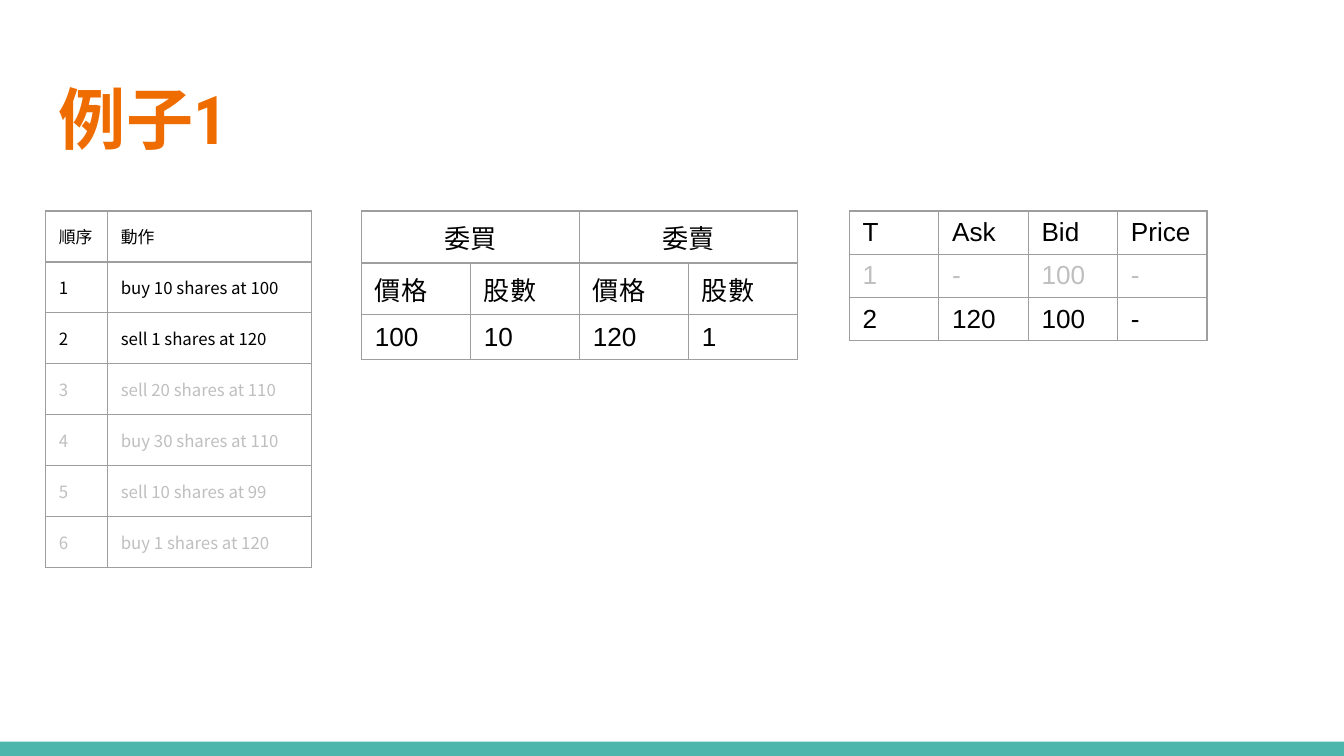
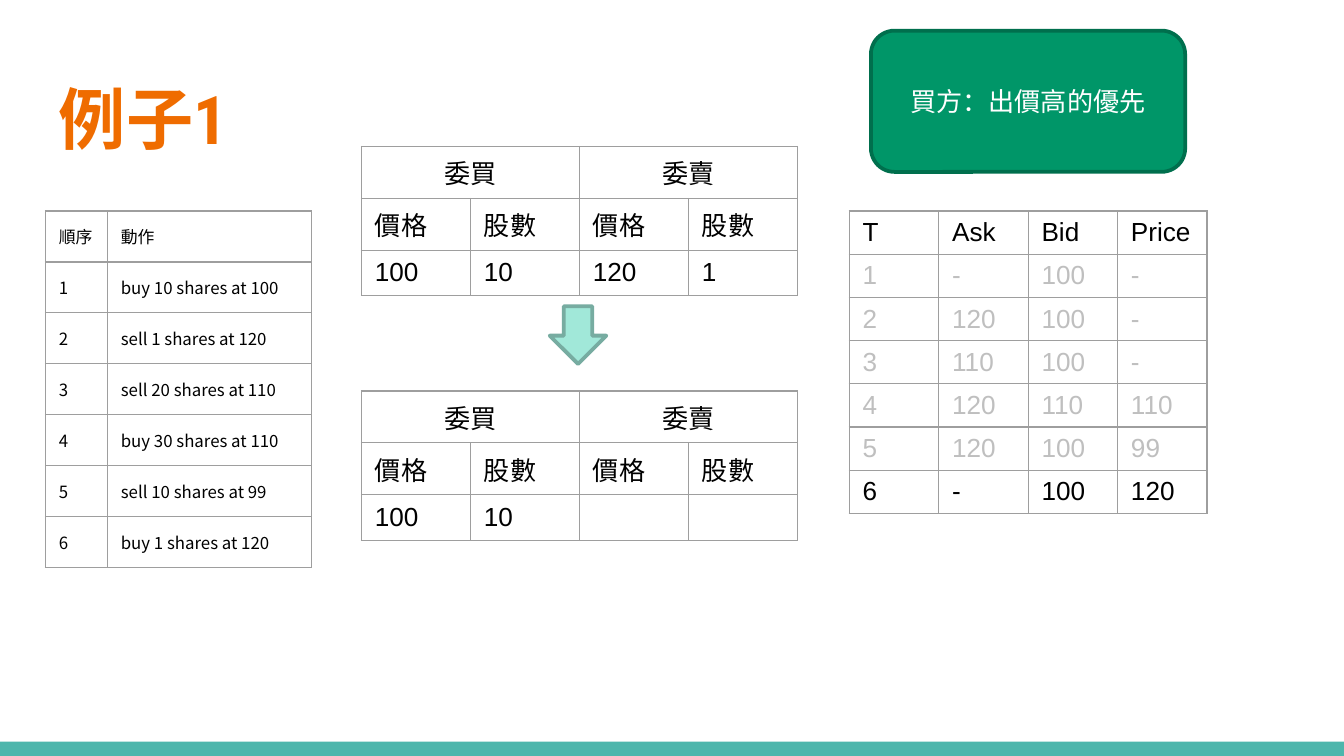
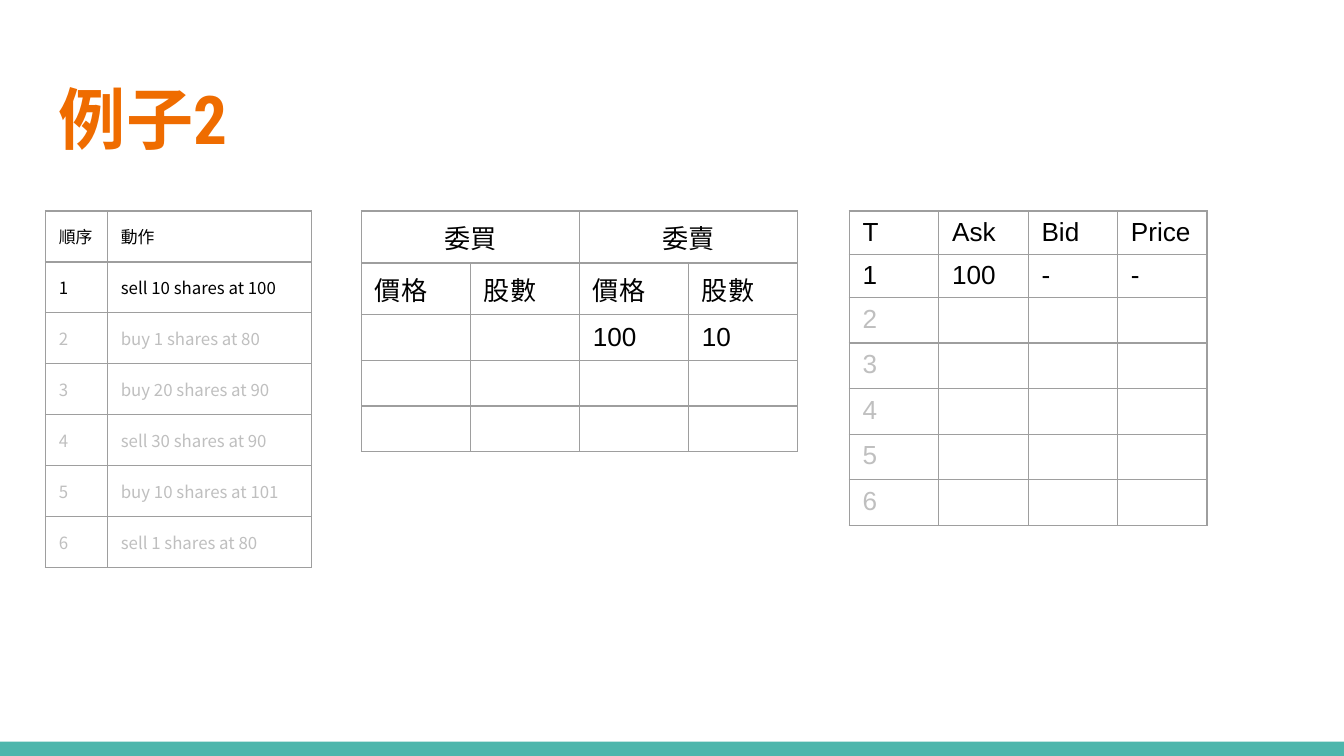
from lxml import etree
from pptx import Presentation
from pptx.dml.color import RGBColor
from pptx.enum.shapes import MSO_SHAPE
from pptx.enum.text import MSO_ANCHOR, PP_ALIGN
from pptx.oxml.ns import qn
from pptx.util import Cm, Pt

RECTANGLE = MSO_SHAPE.RECTANGLE
ROUNDED = MSO_SHAPE.ROUNDED_RECTANGLE
DOWN_ARROW = MSO_SHAPE.DOWN_ARROW
TOP, MIDDLE = MSO_ANCHOR.TOP, MSO_ANCHOR.MIDDLE
LEFT, CENTER = PP_ALIGN.LEFT, PP_ALIGN.CENTER

BLACK = RGBColor(0x00, 0x00, 0x00)
WHITE = RGBColor(0xFF, 0xFF, 0xFF)
MUTED = RGBColor(0xBF, 0xBF, 0xBF)
BORDER = RGBColor(0x9E, 0x9E, 0x9E)
ORANGE = RGBColor(0xEF, 0x6C, 0x00)
TEAL = RGBColor(0x4D, 0xB6, 0xAC)
MINT = RGBColor(0xA1, 0xE8, 0xD9)
MINT_EDGE = RGBColor(0x77, 0xAC, 0xA1)
GREEN = RGBColor(0x00, 0x96, 0x68)
GREEN_EDGE = RGBColor(0x00, 0x6F, 0x4D)

TITLE_FONT = "Roboto Condensed"
CHINESE_FONT = "Noto Sans CJK TC"
TABLE_FONT = "Arial"

SLIDE_WIDTH, SLIDE_HEIGHT = 25.4, 14.29
TABLE_TOP = 3.99
BOOK_HEADER = [["委買", "", "委賣", ""], ["價格", "股數", "價格", "股數"]]

FIRST_ACTIONS = ["buy 10 shares at 100", "sell 1 shares at 120", "sell 20 shares at 110",
                 "buy 30 shares at 110", "sell 10 shares at 99", "buy 1 shares at 120"]
SECOND_ACTIONS = ["sell 10 shares at 100", "buy 1 shares at 80", "buy 20 shares at 90",
                  "sell 30 shares at 90", "buy 10 shares at 101", "sell 1 shares at 80"]
FIRST_QUOTES = [["-", "100", "-"], ["120", "100", "-"], ["110", "100", "-"],
                ["120", "110", "110"], ["120", "100", "99"], ["-", "100", "120"]]
SECOND_QUOTES = [["100", "-", "-"]] + [[""] * 3] * 5
FIRST_ORDERS = [["100", "10", "120", "1"]]


def write_text(frame, text, size=14, font=TABLE_FONT, color=BLACK, bold=False,
               align=LEFT, anchor=MIDDLE):
    frame.word_wrap = True
    frame.vertical_anchor = anchor
    paragraph = frame.paragraphs[0]
    paragraph.alignment = align
    if not text:
        etree.SubElement(paragraph._p, qn("a:endParaRPr"), sz=str(size * 100))
        return
    run = paragraph.add_run()
    run.text = text
    run.font.size = Pt(size)
    run.font.bold = bold
    run.font.color.rgb = color
    run.font.name = font
    etree.SubElement(run._r.get_or_add_rPr(), qn("a:ea"), typeface=CHINESE_FONT)


class Deck:
    def __init__(self):
        self.presentation = Presentation()
        self.presentation.slide_width = Cm(SLIDE_WIDTH)
        self.presentation.slide_height = Cm(SLIDE_HEIGHT)
        self.slide = None

    def add_slide(self, title):
        first = self.slide is None
        self.slide = self.presentation.slides.add_slide(self.presentation.slide_layouts[5])
        if first:
            self.add_master_band()
        shape = self.slide.shapes.title
        shape.left, shape.top, shape.width, shape.height = Cm(0.86), Cm(1.24), Cm(23.67), Cm(1.96)
        frame = shape.text_frame
        frame.margin_top = frame.margin_bottom = Cm(0.25)
        write_text(frame, title, size=36, font=TITLE_FONT, color=ORANGE, bold=True)

    def add_master_band(self):
        band = self.add_shape(RECTANGLE, 0, 14.02, SLIDE_WIDTH, 0.27, TEAL)
        band._element.nvSpPr.cNvPr.set("id", "20")
        self.presentation.slide_master.shapes._spTree.insert(2, band._element)

    def add_shape(self, kind, left, top, width, height, fill, edge=None):
        shape = self.slide.shapes.add_shape(kind, Cm(left), Cm(top), Cm(width), Cm(height))
        shape.shadow.inherit = False
        shape.fill.solid()
        shape.fill.fore_color.rgb = fill
        if edge is None:
            shape.line.fill.background()
        else:
            shape.line.color.rgb = edge
            shape.line.width = Pt(2)
        return shape

    def add_note(self, text):
        note = self.add_shape(ROUNDED, 16.46, 0.58, 5.94, 2.67, GREEN, GREEN_EDGE)
        write_text(note.text_frame, text, font=CHINESE_FONT, color=WHITE, align=CENTER)

    def add_borders(self, cell):
        properties = cell._tc.get_or_add_tcPr()
        for position, side in enumerate(("lnL", "lnR", "lnT", "lnB")):
            line = etree.Element(qn(f"a:{side}"), w=str(Pt(0.75)))
            fill = etree.SubElement(line, qn("a:solidFill"))
            etree.SubElement(fill, qn("a:srgbClr"), val=str(BORDER))
            properties.insert(position, line)

    def add_table(self, rows, left, top, column_widths, row_height, row_colors=None,
                  centered_rows=0, margin=0.13, **text_format):
        height = row_height * len(rows)
        table = self.slide.shapes.add_table(len(rows), len(column_widths), Cm(left), Cm(top),
                                            Cm(sum(column_widths)), Cm(height)).table
        table.first_row = table.horz_banding = False
        for column, width in zip(table.columns, column_widths):
            column.width = Cm(width)
        for index, values in enumerate(rows):
            table.rows[index].height = Cm(row_height)
            for cell, value in zip(table.rows[index].cells, values):
                cell.fill.background()
                cell.margin_top = cell.margin_bottom = Cm(margin)
                write_text(cell.text_frame, value,
                           color=row_colors[index] if row_colors else BLACK,
                           align=CENTER if index < centered_rows else LEFT, **text_format)
                cell.vertical_anchor = text_format.get("anchor", MIDDLE)
                self.add_borders(cell)
        return table

    def add_actions(self, actions, step):
        rows = [["順序", "動作"]]
        rows += [[str(number), action] for number, action in enumerate(actions, 1)]
        colors = [BLACK if number <= step else MUTED for number in range(len(rows))]
        self.add_table(rows, 0.86, TABLE_TOP, [1.17, 3.85], 0.91, colors, margin=0.25,
                       size=9, font=CHINESE_FONT)

    def add_book(self, orders, top=TABLE_TOP):
        table = self.add_table(BOOK_HEADER + orders, 6.83, top, [2.06] * 4, 0.85,
                               centered_rows=1)
        for column in (0, 2):
            table.cell(0, column).merge(table.cell(0, column + 1))

    def add_history(self, quotes, step):
        rows = [["T", "Ask", "Bid", "Price"]]
        rows += [[str(number), *quote] for number, quote in enumerate(quotes, 1)]
        colors = [BLACK if number in (0, step) else MUTED for number in range(len(rows))]
        self.add_table(rows, 16.05, TABLE_TOP, [1.69] * 4, 0.81, colors, anchor=TOP)


def main():
    deck = Deck()

    deck.add_slide("例子1")
    deck.add_actions(FIRST_ACTIONS, step=2)
    deck.add_book(FIRST_ORDERS)
    deck.add_history(FIRST_QUOTES[:2], step=2)

    deck.add_slide("例子1")
    deck.add_actions(FIRST_ACTIONS, step=6)
    deck.add_book(FIRST_ORDERS, top=2.77)
    deck.add_book([["100", "10", "", ""]], top=7.39)
    deck.add_shape(DOWN_ARROW, 10.39, 5.79, 1.07, 1.09, MINT, MINT_EDGE)
    deck.add_history(FIRST_QUOTES, step=6)
    deck.add_note("買方：出價高的優先")

    deck.add_slide("例子2")
    deck.add_actions(SECOND_ACTIONS, step=1)
    deck.add_book([["", "", "100", "10"]] + [[""] * 4] * 2)
    deck.add_history(SECOND_QUOTES, step=1)

    deck.presentation.save("out.pptx")


if __name__ == "__main__":
    main()
